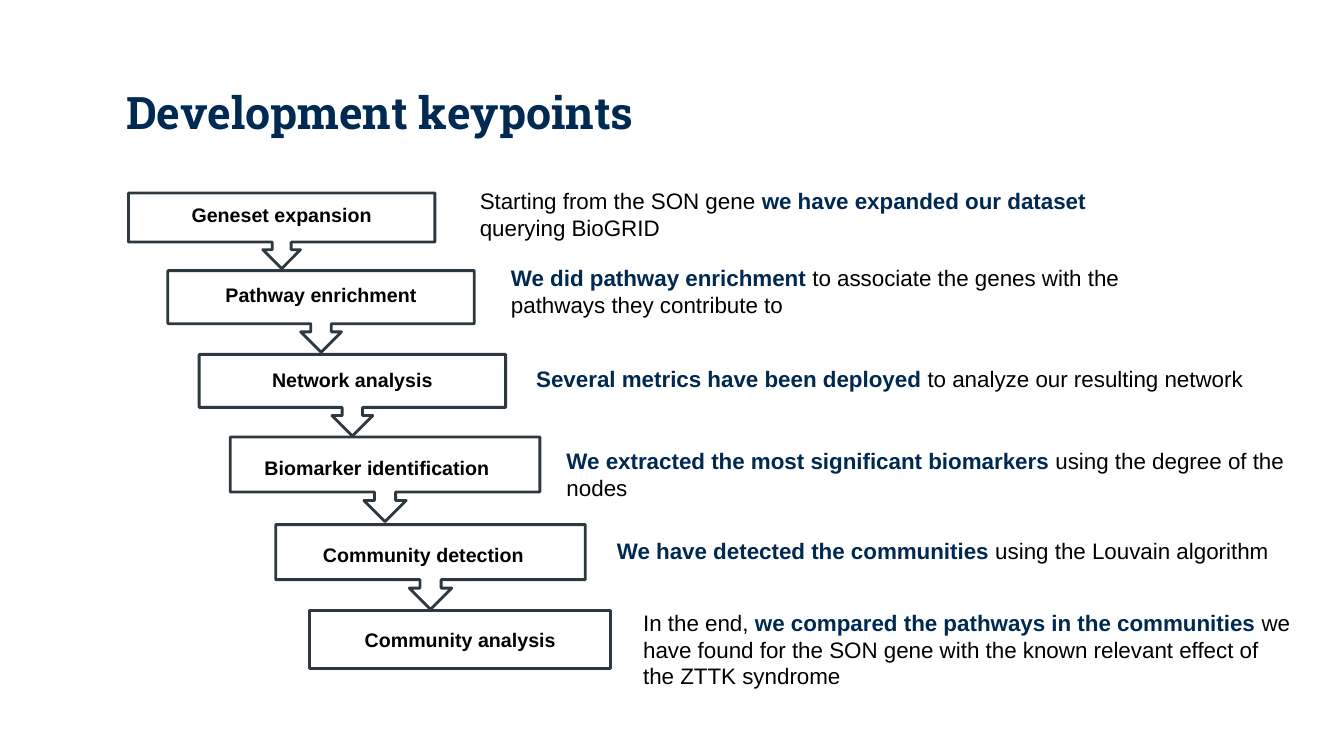
import pptx
import pptx.util
import pptx.dml.color
import pptx.enum.shapes
import pptx.enum.text

INK = {"title": "002A52", "key": "002952", "text": "000000",
       "line": "2D393E", "fill": "FFFFFF"}
SHAPE = pptx.enum.shapes.MSO_SHAPE
ALIGN = pptx.enum.text.PP_ALIGN
ANCHOR = pptx.enum.text.MSO_ANCHOR

deck = pptx.Presentation()
deck.slide_width = pptx.util.Inches(13.33)
deck.slide_height = pptx.util.Inches(7.5)
# The grid has 100 columns and 100 rows.
COL = deck.slide_width / 100
ROW = deck.slide_height / 100

# Each step: label, box, label nudge, note place (column, row, columns),
# note lines, and note runs as (text, is key).
STEPS = [
    ("Geneset expansion", (9.56, 25.53, 22.8, 10), (0, -0.4),
     (34.96, 24.13, 49.66), 2,
     [("Starting from the SON gene ", False),
      ("we have expanded our dataset ", True),
      ("querying BioGRID", False)]),
    ("Pathway enrichment", (12.49, 35.8, 22.8, 10.8), (0, -0.27),
     (37.28, 34.27, 48.54), 2,
     [("We did pathway enrichment ", True),
      ("to associate the genes with the pathways they contribute to", False)]),
    ("Network analysis", (14.82, 46.87, 22.8, 10.8), (0, -0.13),
     (39.16, 47.6, 55.36), 1,
     [("Several metrics have been deployed ", True),
      ("to analyze our resulting network", False)]),
    ("Biomarker identification", (17.14, 57.8, 23.03, 11.2), (-0.6, 0.4),
     (41.41, 58.53, 55.74), 2,
     [("We extracted the most significant biomarkers ", True),
      ("using the degree of the nodes", False)]),
    ("Community detection", (20.52, 69.4, 23.03, 11.2), (-0.53, 0.27),
     (45.16, 70.4, 51.99), 1,
     [("We have detected the communities", True),
      (" using the Louvain algorithm", False)]),
    ("Community analysis", (23.03, 80.8, 22.43, 7.6), (0, 0),
     (47.11, 79.87, 50.04), 3,
     [("In the end, ", False),
      ("we compared the pathways in the communities ", True),
      ("we have found for the SON gene with the known relevant effect "
       "of the ZTTK syndrome", False)]),
]


def place(box):
    """Turn columns and rows into slide lengths."""
    left, top, wide, high = box
    return round(left * COL), round(top * ROW), round(wide * COL), round(high * ROW)


def tint(name):
    return pptx.dml.color.RGBColor.from_string(INK[name])


def write(para, text, size, ink, bold, face="Arial"):
    run = para.add_run()
    run.text = text
    run.font.name = face
    run.font.size = pptx.util.Pt(size)
    run.font.bold = bold
    run.font.color.rgb = tint(ink)


def head(slide, box):
    title = slide.shapes.title
    title.left, title.top, title.width, title.height = place(box)
    frame = title.text_frame
    frame.word_wrap = True
    frame.vertical_anchor = ANCHOR.BOTTOM
    frame.margin_left = frame.margin_right = pptx.util.Inches(0.1)
    frame.margin_top = frame.margin_bottom = pptx.util.Inches(0.1)
    para = frame.paragraphs[0]
    para.alignment = ALIGN.LEFT
    write(para, "Development keypoints", 32, "title", True, "Roboto Slab")


def stage(slide, box, kind, label, nudge):
    shape = slide.shapes.add_shape(kind, *place(box))
    shape.shadow.inherit = False
    shape.fill.solid()
    shape.fill.fore_color.rgb = tint("fill")
    shape.line.color.rgb = tint("line")
    shape.line.width = pptx.util.Pt(2)
    frame = shape.text_frame
    frame.word_wrap = True
    frame.vertical_anchor = ANCHOR.MIDDLE
    right, down = nudge
    frame.margin_left, frame.margin_right = round((1 + right) * COL), round((1 - right) * COL)
    frame.margin_top, frame.margin_bottom = round((1 + down) * ROW), round((1 - down) * ROW)
    para = frame.paragraphs[0]
    para.alignment = ALIGN.CENTER
    write(para, label, 14, "text", True)


def note(slide, box, runs):
    frame = slide.shapes.add_textbox(*place(box)).text_frame
    frame.word_wrap = True
    for text, key in runs:
        write(frame.paragraphs[0], text, 16, "key" if key else "text", key)


def main():
    slide = deck.slides.add_slide(deck.slide_layouts[5])
    head(slide, (8.63, 8.8, 82.82, 10.8))
    for step in STEPS:
        label, box, nudge, spot, lines, runs = step
        kind = SHAPE.RECTANGLE if step is STEPS[-1] else SHAPE.DOWN_ARROW_CALLOUT
        stage(slide, box, kind, label, nudge)
        note(slide, (*spot, 1.33 + 3.6 * lines), runs)
    deck.save("out.pptx")


if __name__ == "__main__":
    main()
